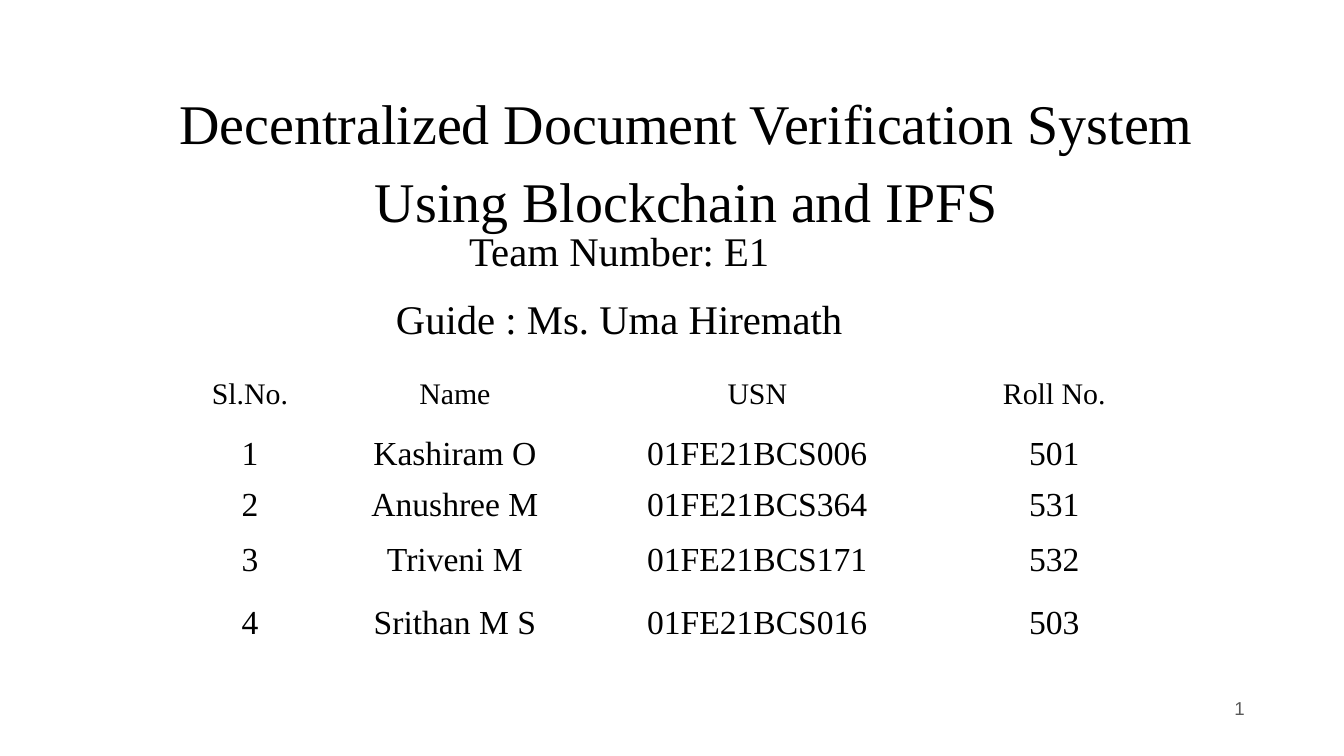
from pptx import Presentation
from pptx.dml.color import RGBColor
from pptx.enum.text import MSO_ANCHOR, PP_ALIGN
from pptx.util import Inches, Pt

# Widescreen, 16 to 9
SLIDE_W = Inches(10)
SLIDE_H = SLIDE_W * 9 // 16
SERIF, SANS = "Times New Roman", "Arial"
BLACK, GREY = "000000", "595959"

TEAM = [
    ("Sl.No.", "Name", "USN", "Roll No."),
    ("1", "Kashiram O", "01FE21BCS006", "501"),
    ("2", "Anushree M", "01FE21BCS364", "531"),
    ("3", "Triveni M", "01FE21BCS171", "532"),
    ("4", "Srithan M S", "01FE21BCS016", "503"),
]
# Shares of the slide's size, in percent
COLUMN_SHARES = [11.8, 18.7, 26.3, 17.9]
ROW_SHARES = [7.6, 6.6, 7.3, 8.3, 8.3]


def across(percent):
    return round(SLIDE_W * percent / 100)


def down(percent):
    return round(SLIDE_H * percent / 100)


def rgb(hex_colour):
    return RGBColor.from_string(hex_colour)


def add_run(paragraph, words, size, font=SERIF, colour=BLACK, align=PP_ALIGN.CENTER):
    paragraph.alignment = align
    run = paragraph.add_run()
    run.text = words
    run.font.size = Pt(size)
    run.font.name = font
    run.font.color.rgb = rgb(colour)


def add_text_frame(slide, left, top, width, height, anchor, side=0.07, edge=0.04):
    box = slide.shapes.add_textbox(across(left), down(top), across(width), down(height))
    frame = box.text_frame
    frame.word_wrap = True
    frame.vertical_anchor = anchor
    frame.margin_left = frame.margin_right = Inches(side)
    frame.margin_top = frame.margin_bottom = Inches(edge)
    return frame


def add_title(slide):
    frame = add_text_frame(slide, 8.6, 10.8, 85, 20.8, MSO_ANCHOR.BOTTOM)
    title = frame.paragraphs[0]
    title.line_spacing = 1.15
    add_run(title, "Decentralized Document Verification System Using Blockchain and IPFS", 30)


def add_team_and_guide(slide):
    frame = add_text_frame(slide, 22.3, 30.9, 47.6, 16.4, MSO_ANCHOR.TOP)
    team, guide = frame.paragraphs[0], frame.add_paragraph()
    guide.space_before = Pt(18)
    for paragraph, words in ((team, "Team Number: E1"), (guide, "Guide : Ms. Uma Hiremath")):
        paragraph.line_spacing = 0.7
        add_run(paragraph, words, 21.8)


def add_team_table(slide):
    table = slide.shapes.add_table(
        len(TEAM), len(COLUMN_SHARES), across(12.7), down(49.07),
        across(sum(COLUMN_SHARES)), down(sum(ROW_SHARES)),
    ).table
    table.first_row = table.horz_banding = False
    for column, share in zip(table.columns, COLUMN_SHARES):
        column.width = across(share)
    for row, share, member in zip(table.rows, ROW_SHARES, TEAM):
        row.height = down(share)
        size = 16 if member is TEAM[0] else 18
        for cell, words in zip(row.cells, member):
            cell.fill.background()
            cell.margin_top, cell.margin_bottom = Inches(0.05), Inches(0.03)
            add_run(cell.text_frame.paragraphs[0], words, size)


def add_page_number(slide):
    frame = add_text_frame(slide, 87.6, 89.9, 6, 7.65, MSO_ANCHOR.MIDDLE, side=0.1, edge=0.1)
    add_run(frame.paragraphs[0], "1", 10, SANS, GREY, PP_ALIGN.RIGHT)


def main():
    deck = Presentation()
    deck.slide_width, deck.slide_height = SLIDE_W, SLIDE_H
    slide = deck.slides.add_slide(deck.slide_layouts[6])

    # Heading
    add_title(slide)
    add_team_and_guide(slide)
    # Team members
    add_team_table(slide)
    # Footer
    add_page_number(slide)

    deck.save("out.pptx")


if __name__ == "__main__":
    main()
